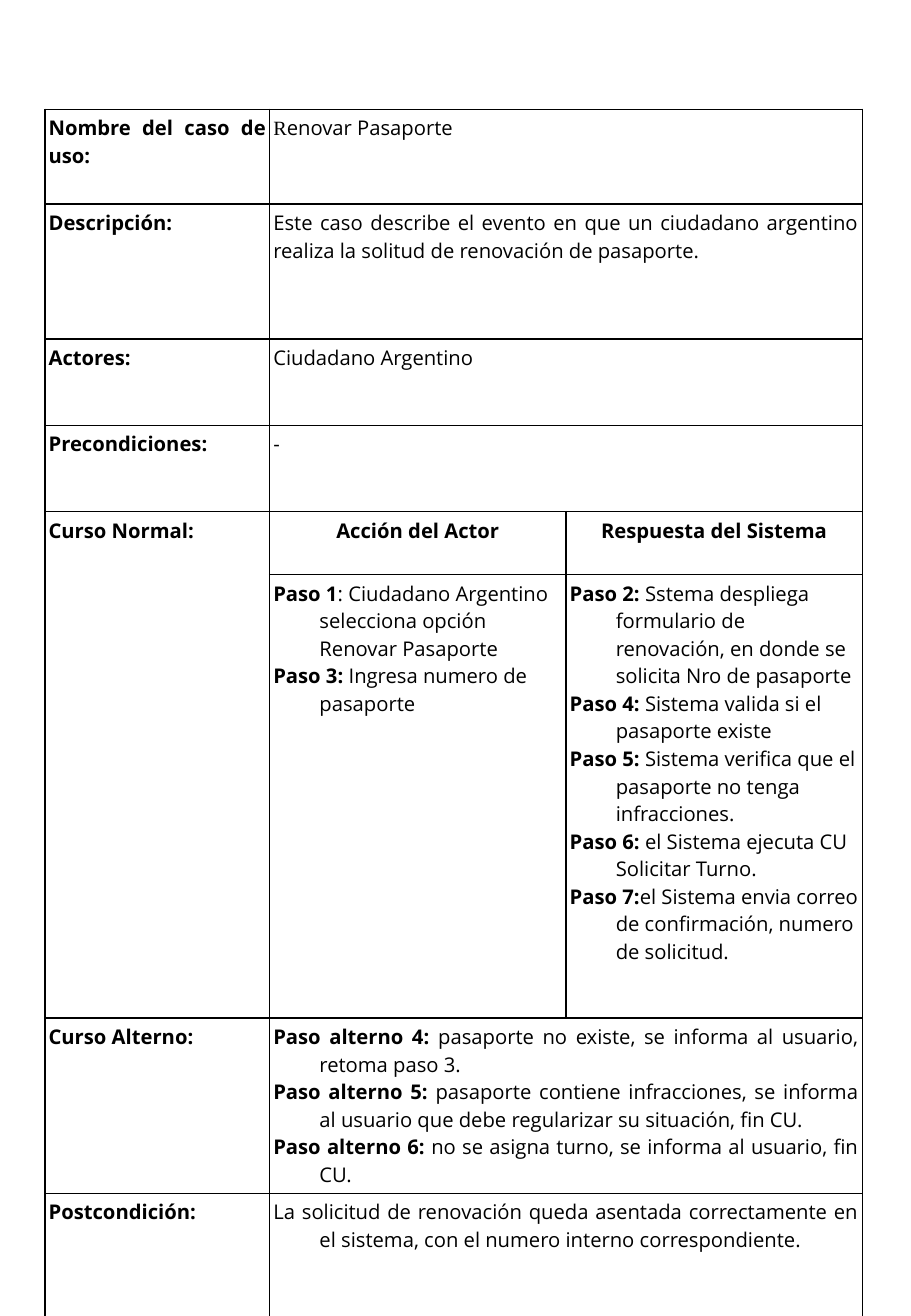
from lxml.etree import SubElement
from pptx import Presentation
from pptx.dml.color import RGBColor
from pptx.enum.text import PP_ALIGN as Align
from pptx.oxml import parse_xml
from pptx.oxml.ns import nsdecls, qn
from pptx.util import Emu, Pt

BLACK = RGBColor(0x00, 0x00, 0x00)
EMU_PER_PX = 9144  # 100 px to the inch
PAGE_WIDTH, PAGE_HEIGHT = 750, 1083
TABLE_LEFT, TABLE_TOP = 37, 90
COLUMNS = [185, 244, 244]
ROWS = [78, 111, 71, 71, 52, 365, 117, 102]
MARGIN_X, MARGIN_Y = 3, 4
HANGING = 38


def px(length):
    return Emu(length * EMU_PER_PX)


class UseCaseSheet:
    """Text style, table style and the current slide."""
    font, size = "Open Sans", Pt(12)
    border = Pt(1)

    def __init__(self, deck):
        self.page = deck.slides.add_slide(deck.slide_layouts[6])

    def grid(self, left, top, columns, rows):
        frame = self.page.shapes.add_table(
            len(rows), len(columns), px(left), px(top),
            px(sum(columns)), px(sum(rows)))
        self.table = frame.table
        self.table.first_row = self.table.horz_banding = False
        for column, width in zip(self.table.columns, columns):
            column.width = px(width)
        for row, height in zip(self.table.rows, rows):
            row.height = px(height)
        for cell in self.table.iter_cells():
            cell.margin_left = cell.margin_right = px(MARGIN_X)
            cell.margin_top = cell.margin_bottom = px(MARGIN_Y)
            cell.fill.background()
            self.outline(cell)

    def outline(self, cell):
        properties = cell._tc.get_or_add_tcPr()
        for index, side in enumerate(("lnL", "lnR", "lnT", "lnB")):
            line = parse_xml(f'<a:{side} {nsdecls("a")} w="{self.border}"/>')
            fill = SubElement(line, qn("a:solidFill"))
            SubElement(fill, qn("a:srgbClr"), val=str(BLACK))
            properties.insert(index, line)

    def merge(self, first, last):
        self.table.cell(*first).merge(self.table.cell(*last))

    def fill_cell(self, row, column, paras, align=Align.JUSTIFY, hanging=False):
        """Each paragraph is a (bold text, plain text) pair."""
        text_frame = self.table.cell(row, column).text_frame
        for index, (bold, plain) in enumerate(paras):
            para = text_frame.paragraphs[0] if index == 0 else text_frame.add_paragraph()
            para.alignment = align
            if hanging:
                indents = para._p.get_or_add_pPr()
                indents.set("marL", str(px(HANGING)))
                indents.set("indent", str(-px(HANGING)))
            if bold:
                self.span(para, bold, True)
            if plain:
                self.span(para, plain, False)

    def span(self, para, text, bold, font=None):
        span = para.add_run()
        span.text = text
        span.font.name = font or self.font
        span.font.size = self.size
        span.font.bold = bold
        span.font.color.rgb = BLACK


LABELS = {
    0: "Nombre del caso de uso: ",
    1: "Descripción:",
    2: "Actores: ",
    3: "Precondiciones: ",
    4: "Curso Normal:",
    6: "Curso Alterno:",
    7: "Postcondición:",
}
DETAILS = {
    1: [("", "Este caso describe el evento en que un ciudadano argentino "
             "realiza la solitud de renovación de pasaporte.")],
    2: [("", "Ciudadano Argentino")],
    3: [("", "-")],
    6: [("Paso alterno 4: ", "pasaporte no existe, se informa al usuario, retoma paso 3."),
        ("Paso alterno 5: ", "pasaporte contiene infracciones, se informa al usuario "
                             "que debe regularizar su situación, fin CU."),
        ("Paso alterno 6: ", "no se asigna turno, se informa al usuario, fin CU.")],
    7: [("", "La solicitud de renovación queda asentada correctamente en el "
             "sistema, con el numero interno correspondiente.")],
}
COURSES = [
    ("Acción del Actor", [
        ("Paso 1", ": Ciudadano Argentino selecciona opción Renovar Pasaporte"),
        ("Paso 3: ", "Ingresa numero de pasaporte")]),
    ("Respuesta del Sistema", [
        ("Paso 2: ", "Sstema despliega formulario de renovación, en donde se "
                     "solicita Nro de pasaporte"),
        ("Paso 4: ", "Sistema valida si el pasaporte existe"),
        ("Paso 5: ", "Sistema verifica que el pasaporte no tenga infracciones."),
        ("Paso 6: ", "el Sistema ejecuta CU Solicitar Turno."),
        ("Paso 7:", "el Sistema envia correo de confirmación, numero de solicitud.")]),
]
COURSE_ROW = 4


def main():
    deck = Presentation()
    deck.slide_width, deck.slide_height = px(PAGE_WIDTH), px(PAGE_HEIGHT)
    sheet = UseCaseSheet(deck)

    # Table frame
    sheet.grid(TABLE_LEFT, TABLE_TOP, COLUMNS, ROWS)
    sheet.merge((COURSE_ROW, 0), (COURSE_ROW + 1, 0))
    for row in (0, *DETAILS):
        sheet.merge((row, 1), (row, 2))

    # Labels and details
    for row, label in LABELS.items():
        sheet.fill_cell(row, 0, [(label, "")], hanging=row >= COURSE_ROW)
    for row, paras in DETAILS.items():
        sheet.fill_cell(row, 1, paras, hanging=row >= COURSE_ROW)

    # Use case name, with its first letter in a serif font
    name = sheet.table.cell(0, 1).text_frame.paragraphs[0]
    name.alignment = Align.JUSTIFY
    sheet.span(name, "R", False, "Times New Roman")
    sheet.span(name, "enovar Pasaporte", False)

    # Normal course: actor and system steps
    for column, (heading, steps) in enumerate(COURSES, start=1):
        sheet.fill_cell(COURSE_ROW, column, [(heading, "")], Align.CENTER, hanging=True)
        sheet.fill_cell(COURSE_ROW + 1, column, steps, Align.LEFT, hanging=True)

    deck.save("out.pptx")


if __name__ == "__main__":
    main()
